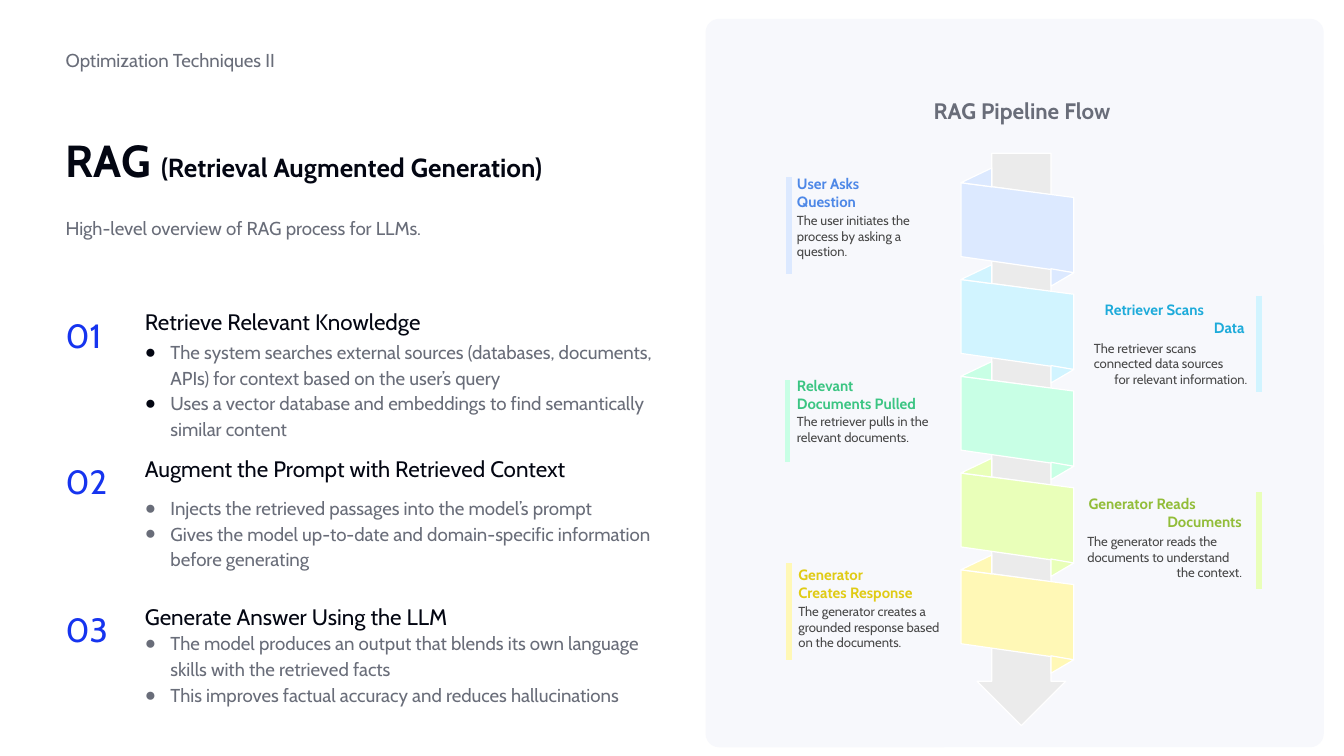
from lxml import etree
from pptx import Presentation
from pptx.dml import color
from pptx.enum import shapes, text
from pptx.oxml import ns
from pptx.util import Inches, Pt

FONT, BULLET_FONT = "Cabin", "Arial"
INK, GREY, BLUE, BODY = "030612", "696D79", "1634EF", "484848"
WHITE, PANEL, ARROW = "FFFFFF", "F7F8FC", "EBEBEB"
LEFT, CENTER, RIGHT = text.PP_ALIGN.LEFT, text.PP_ALIGN.CENTER, text.PP_ALIGN.RIGHT
TOP, MIDDLE, BOTTOM = text.MSO_ANCHOR.TOP, text.MSO_ANCHOR.MIDDLE, text.MSO_ANCHOR.BOTTOM

STEPS = [
    ("01", 2.24, 0.17, INK, "Retrieve Relevant Knowledge", [
        "The system searches external sources (databases, documents, APIs) "
        "for context based on the user’s query",
        "Uses a vector database and embeddings to find semantically similar content"]),
    ("02", 3.33, 0.24, GREY, "Augment the Prompt with Retrieved Context", [
        "Injects the retrieved passages into the model’s prompt",
        "Gives the model up-to-date and domain-specific information before generating"]),
    ("03", 4.43, 0.15, GREY, "Generate Answer Using the LLM", [
        "The model produces an output that blends its own language "
        "skills with the retrieved facts",
        "This improves factual accuracy and reduces hallucinations"]),
]

STAGES = [
    ("DCE9FF", "4E88E7", LEFT, (0.62, 1.18, 0.72),
     (0.68, 1.16, 0.61), ["User Asks", "Question"],
     (0.68, 1.44, 0.98), ["The user initiates the", "process by asking a", "question."]),
    ("D1F4FF", "1EABDA", RIGHT, (4.12, 2.06, 0.72),
     (2.97, 2.1, 1.04), ["Retriever Scans", "Data"],
     (2.89, 2.39, 1.14), ["The retriever scans", "connected data sources",
                          "for relevant information."]),
    ("C8FFE5", "3CC583", LEFT, (0.61, 2.69, 0.61),
     (0.68, 2.66, 1.16), ["Relevant", "Documents Pulled"],
     (0.68, 2.94, 1.15), ["The retriever pulls in the", "relevant documents."]),
    ("E9FFB9", "92BD39", RIGHT, (4.12, 3.52, 0.72),
     (2.85, 3.54, 1.14), ["Generator Reads", "Documents"],
     (2.84, 3.83, 1.15), ["The generator reads the", "documents to understand",
                          "the context."]),
    ("FFF8B6", "E0CB15", LEFT, (0.62, 4.05, 0.72),
     (0.69, 4.07, 1.12), ["Generator", "Creates Response"],
     (0.69, 4.35, 1.21), ["The generator creates a", "grounded response based",
                          "on the documents."]),
]


def rgb(value):
    return color.RGBColor.from_string(value)


def style_run(run, size, colour, bold=False):
    run.font.name = FONT
    run.font.size = Pt(size)
    run.font.bold = bold
    run.font.color.rgb = rgb(colour)


def add_text(slide, box, lines, size, colour, bold=False, align=LEFT,
             anchor=TOP, inset=0.1, spacing=1.0):
    shape = slide.shapes.add_textbox(*map(Inches, box))
    frame = shape.text_frame
    frame.word_wrap = True
    frame.vertical_anchor = anchor
    frame.margin_left = frame.margin_right = Inches(inset)
    frame.margin_top = frame.margin_bottom = Inches(inset)
    frame.text = "\n".join(lines)
    for paragraph in frame.paragraphs:
        paragraph.alignment = align
        paragraph.line_spacing = spacing
        for run in paragraph.runs:
            style_run(run, size, colour, bold)
    return shape


def add_bullets(shape, colour):
    for paragraph in shape.text_frame.paragraphs:
        properties = paragraph._p.get_or_add_pPr()
        properties.set("marL", str(Inches(0.19)))
        properties.set("indent", str(-Inches(0.19)))
        bullet_colour = etree.SubElement(properties, ns.qn("a:buClr"))
        etree.SubElement(bullet_colour, ns.qn("a:srgbClr"), val=colour)
        etree.SubElement(properties, ns.qn("a:buFont"), typeface=BULLET_FONT)
        etree.SubElement(properties, ns.qn("a:buChar"), char="●")


def add_polygons(slide, left, top, outlines, fill):
    def place(points):
        return [(Inches(left + x), Inches(top + y)) for x, y in points]

    first, *others = map(place, outlines)
    builder = slide.shapes.build_freeform(*first[0])
    builder.add_line_segments(first[1:], close=True)
    for points in others:
        builder.move_to(*points[0])
        builder.add_line_segments(points[1:], close=True)
    shape = builder.convert_to_shape()
    shape.shadow.inherit = False
    shape.fill.solid()
    shape.fill.fore_color.rgb = rgb(fill)
    shape.line.color.rgb = rgb(WHITE)
    shape.line.width = Pt(0.66)


def add_header(slide, left, top, width):
    add_text(slide, (left, top, 2.36, 0.28), ["Optimization Techniques II"],
             10, GREY, anchor=MIDDLE)
    title = add_text(slide, (left, top + 0.28, width, 0.9), ["RAG "],
                     24, INK, bold=True, anchor=BOTTOM)
    run = title.text_frame.paragraphs[0].add_run()
    run.text = "(Retrieval Augmented Generation)"
    style_run(run, 14, INK, bold=True)
    add_text(slide, (left, top + 1.18, width, 0.75),
             ["High-level overview of RAG process for LLMs."], 10, GREY, spacing=1.15)


def add_step(slide, left, top, number, body_offset, bullet_colour, heading, points):
    add_text(slide, (left, top, 0.59, 0.93), [number], 18, BLUE)
    add_text(slide, (left + 0.59, top, 4.27, 0.28), [heading], 12, INK,
             anchor=MIDDLE, spacing=1.15)
    body = add_text(slide, (left + 0.59, top + body_offset, 4.02, 0.65), points,
                    10, GREY, spacing=1.15)
    add_bullets(body, bullet_colour)


def add_ribbon(slide, left, top, fills):
    pitch = 0.72
    start = [(0.23, 0.25), (0.23, 0), (0.67, 0), (0.67, 0.31)]
    links = [[(x, y + pitch * i) for x, y in
              ((0.23, 0.97), (0.23, 0.8), (0.67, 0.86), (0.67, 1.03))]
             for i in range(len(fills) - 1)]
    head = [(0.67, 3.74), (0.67, 3.93), (0.78, 3.93), (0.45, 4.26),
            (0.12, 3.93), (0.23, 3.93), (0.23, 3.68)]
    add_polygons(slide, left, top, [start, *links, head], ARROW)
    face = [(0.84, 0.33), (0.84, 0.89), (0, 0.77), (0, 0.22)]
    lower_fold = [(0.67, 0.99), (0.67, 0.86), (0.84, 0.89)]
    upper_fold = [(0.23, 0.25), (0, 0.22), (0.23, 0.11)]
    for i, fill in enumerate(fills):
        for outline in (face, lower_fold, upper_fold):
            add_polygons(slide, left, top + pitch * i, [outline], fill)


def add_callout(slide, left, top, fill, accent, align, bar, title_box, title,
                detail_box, detail):
    x, y, height = bar
    line = slide.shapes.add_connector(
        shapes.MSO_CONNECTOR.STRAIGHT, Inches(left + x), Inches(top + y),
        Inches(left + x), Inches(top + y + height))
    line.line.color.rgb = rgb(fill)
    line.line.width = Pt(3)
    etree.SubElement(line._element.spPr, ns.qn("a:effectLst"))
    for (x, y, width), lines, size, colour, bold in (
            (title_box, title, 8, accent, True), (detail_box, detail, 7, BODY, False)):
        height = 0.27 if bold else 0.12 * len(lines)
        content = lines if align == RIGHT else ["\v".join(lines)]
        label = add_text(slide, (left + x, top + y, width, height), content,
                         size, colour, bold, inset=0)
        label.text_frame.paragraphs[-1].alignment = align


def add_pipeline(slide, left, top, width, height):
    panel = slide.shapes.add_shape(shapes.MSO_SHAPE.ROUNDED_RECTANGLE,
                                   *map(Inches, (left, top, width, height)))
    panel.adjustments[0] = 0.022
    panel.shadow.inherit = False
    panel.fill.solid()
    panel.fill.fore_color.rgb = rgb(PANEL)
    panel.line.fill.background()
    add_text(slide, (left + 1.07, top + 0.28, 2.57, 0.6), ["RAG Pipeline Flow"],
             12, GREY, bold=True, align=CENTER, anchor=BOTTOM)
    add_ribbon(slide, left + 1.9, top + 1, [stage[0] for stage in STAGES])
    for stage in STAGES:
        add_callout(slide, left, top, *stage)


def main():
    presentation = Presentation()
    presentation.slide_width = Inches(10)
    presentation.slide_height = Inches(10 * 9 / 16)
    slide = presentation.slides.add_slide(presentation.slide_layouts[6])
    add_pipeline(slide, 5.25, 0.14, 4.6, 5.42)
    add_header(slide, 0.39, 0.31, 4.86)
    for number, top, *content in STEPS:
        add_step(slide, 0.39, top, number, *content)
    presentation.save("out.pptx")


if __name__ == "__main__":
    main()
